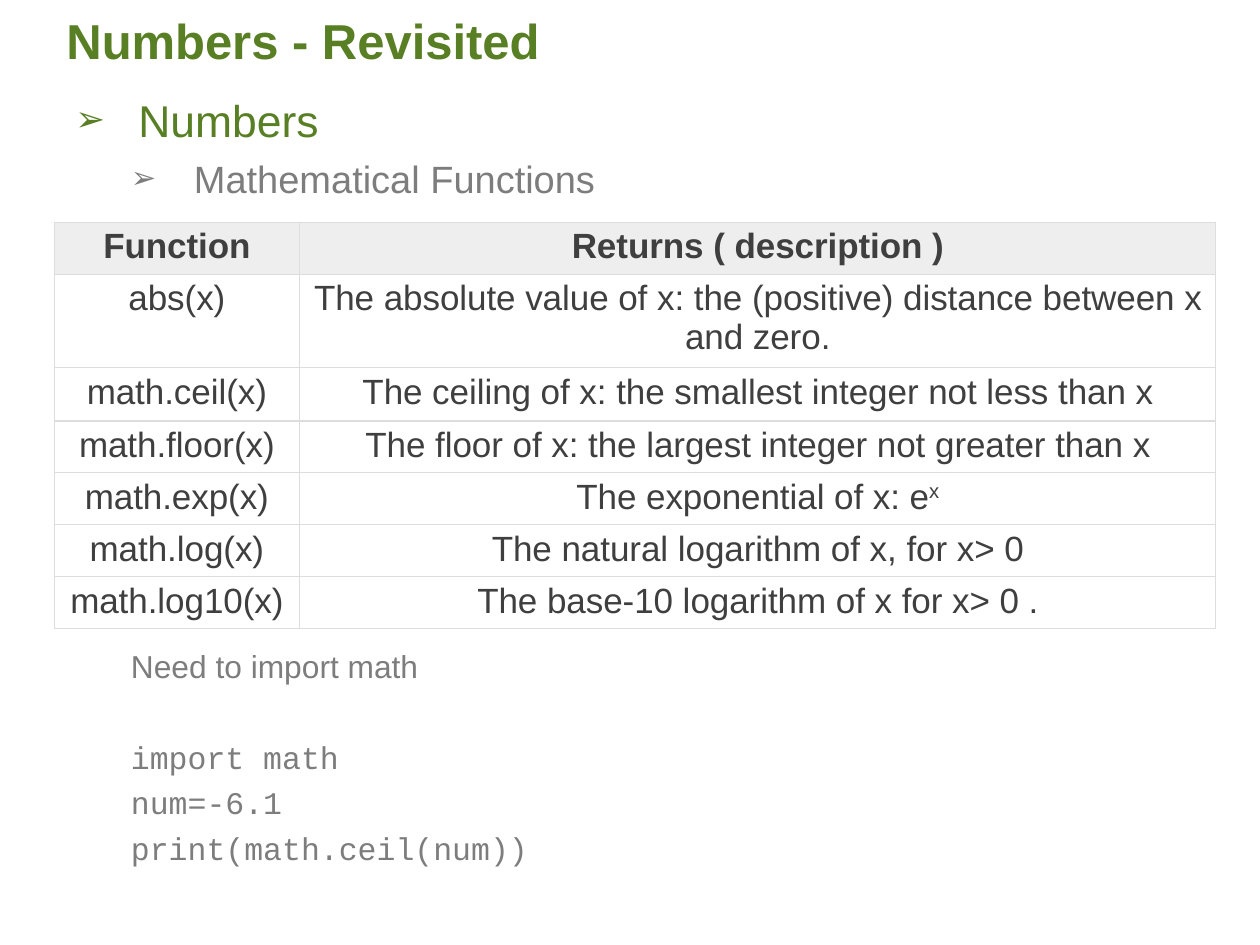
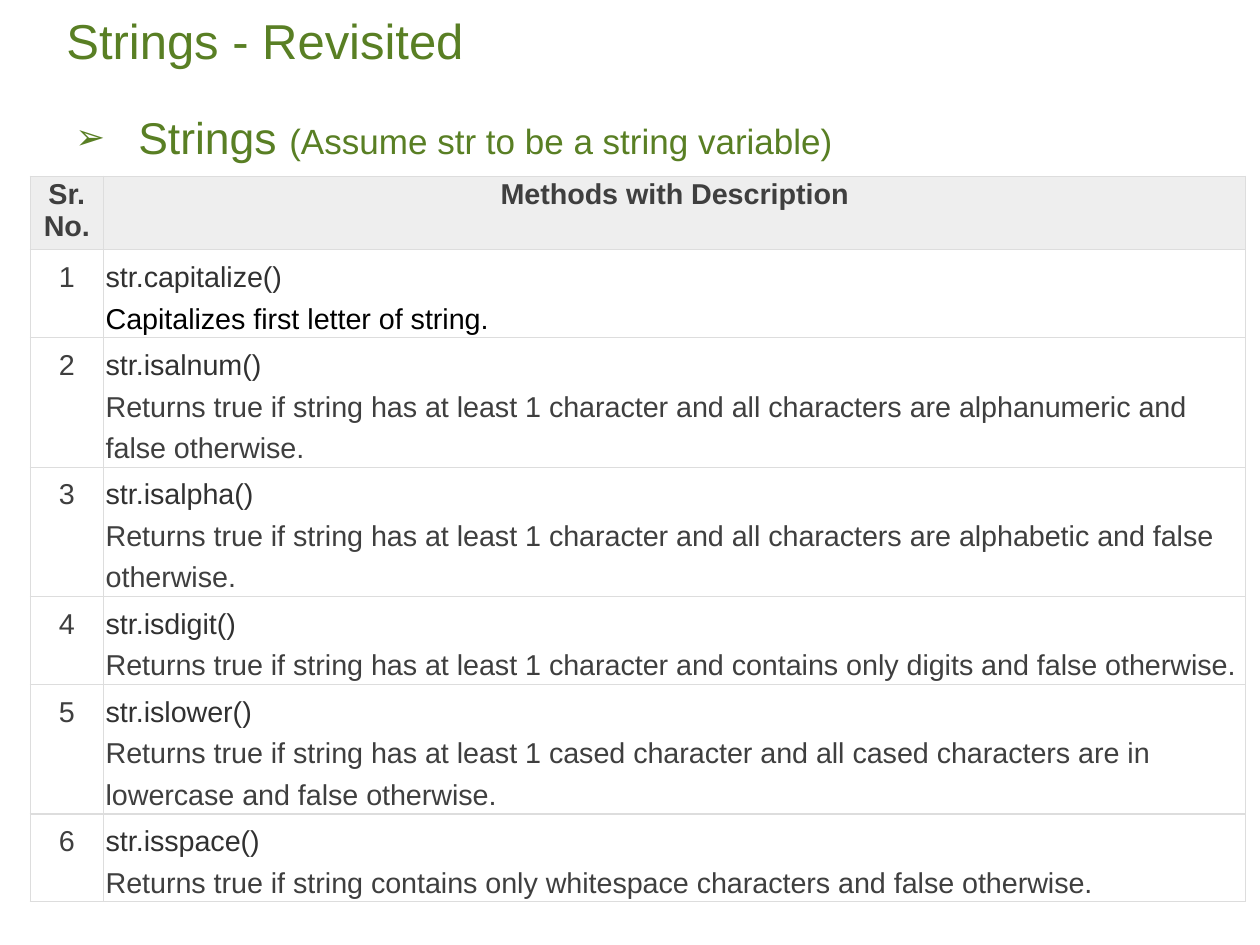
from copy import deepcopy

from lxml import etree
from pptx import Presentation
from pptx.dml.color import RGBColor
from pptx.enum.text import MSO_ANCHOR, PP_ALIGN
from pptx.oxml.ns import qn
from pptx.util import Cm, Pt

LEFT, CENTER = PP_ALIGN.LEFT, PP_ALIGN.CENTER
TOP, BOTTOM = MSO_ANCHOR.TOP, MSO_ANCHOR.BOTTOM

GREEN, GRAY = "597F24", "7D7D7D"
CELL_TEXT, METHOD_TEXT, BLACK = "3F3F3F", "313131", "000000"
HEADER_FILL, BORDER = "EEEEEE", "DDDDDD"
SANS, MONO = "Arial", "Courier New"


def rgb(hex_color):
    return RGBColor.from_string(hex_color)


def write(paragraph, text, size=18, color=CELL_TEXT, font=SANS, bold=False,
          raised=False, align=None, spacing=None, before=None):
    """Append a run; a trailing newline becomes a line break of the same size."""
    if align is not None:
        paragraph.alignment = align
    if spacing is not None:
        paragraph.line_spacing = spacing
    if before is not None:
        paragraph.space_before = Pt(before)
    run = paragraph.add_run()
    run.text = text.rstrip("\n")
    run.font.size = Pt(size)
    run.font.name = font
    run.font.bold = bold
    run.font.color.rgb = rgb(color)
    if raised:
        run._r.rPr.set("baseline", "30000")
    if text.endswith("\n"):
        paragraph.add_line_break()
        paragraph._p[-1].append(deepcopy(run._r.rPr))


def add_arrow_bullet(paragraph, margin, color):
    """Hang the text at margin, 1.27 cm to the right of its bullet."""
    props = paragraph._p.get_or_add_pPr()
    props.set("marL", str(Cm(margin)))
    props.set("indent", str(-Cm(1.27)))
    bullet_color = etree.SubElement(props, qn("a:buClr"))
    etree.SubElement(bullet_color, qn("a:srgbClr"), val=color)
    etree.SubElement(props, qn("a:buSzPct"), val="80000")
    etree.SubElement(props, qn("a:buFont"), typeface=SANS)
    etree.SubElement(props, qn("a:buChar"), char="➢")


def add_borders(cell):
    props = cell._tc.get_or_add_tcPr()
    for position, side in enumerate(("lnL", "lnR", "lnT", "lnB")):
        line = etree.Element(qn(f"a:{side}"), w=str(Pt(0.75)))
        fill = etree.SubElement(line, qn("a:solidFill"))
        etree.SubElement(fill, qn("a:srgbClr"), val=BORDER)
        props.insert(position, line)


class Deck:
    def __init__(self):
        self.presentation = Presentation()
        self.presentation.slide_width = Cm(25.4)
        self.presentation.slide_height = Cm(19.05)
        self.slide = None

    def new_slide(self, title, bold=False):
        layout = self.presentation.slide_layouts[6]
        self.slide = self.presentation.slides.add_slide(layout)
        frame = self.text_frame(1.09, 0.26, 22.86, 1.27, BOTTOM)
        write(frame.paragraphs[0], title, size=28, color=GREEN, bold=bold,
              spacing=0.9)

    def text_frame(self, left, top, width, height, anchor=TOP):
        box = self.slide.shapes.add_textbox(Cm(left), Cm(top), Cm(width), Cm(height))
        frame = box.text_frame
        frame.word_wrap = True
        frame.vertical_anchor = anchor
        return frame

    def topic(self, top, height, heading, remark="", subheading="", spacing=1.0):
        """Bulleted heading with a smaller remark beside it or a subheading below."""
        frame = self.text_frame(1.27, top, 22.86, height)
        first = frame.paragraphs[0]
        add_arrow_bullet(first, 1.27, GREEN)
        write(first, heading, size=25.4, color=GREEN, spacing=spacing)
        if remark:
            write(first, remark, size=20, color=GREEN)
        if subheading:
            second = frame.add_paragraph()
            add_arrow_bullet(second, 2.39, GRAY)
            write(second, subheading, size=21.75, color=GRAY, spacing=spacing)

    def code_example(self, left, top, intro, code_lines):
        frame = self.text_frame(left, top, 21.74, 5)
        write(frame.paragraphs[0], intro, size=18.1, color=GRAY, spacing=1.2)
        for number, line in enumerate(code_lines):
            write(frame.add_paragraph(), line, size=18, color=GRAY, font=MONO,
                  spacing=1.2, before=0 if number else 26.1)

    def table(self, left, top, widths, heights, rows, size, inset,
              body_spacing=1.0, body_aligns=(CENTER, CENTER)):
        """Fill a table whose cells are a string or a list of (text, format) runs."""
        frame = self.slide.shapes.add_table(
            len(rows), len(widths), Cm(left), Cm(top),
            Cm(sum(widths)), Cm(sum(heights)))
        table = frame.table
        table.horz_banding = False
        for column, width in zip(table.columns, widths):
            column.width = Cm(width)
        for r, (height, contents) in enumerate(zip(heights, rows)):
            table.rows[r].height = Cm(height)
            header = r == 0
            for c, content in enumerate(contents):
                cell = table.cell(r, c)
                cell.margin_left = cell.margin_right = Cm(inset)
                cell.margin_top = cell.margin_bottom = Cm(inset)
                if header:
                    cell.fill.solid()
                    cell.fill.fore_color.rgb = rgb(HEADER_FILL)
                else:
                    cell.fill.background()
                add_borders(cell)
                runs = [(content, {})] if isinstance(content, str) else content
                for text, style in runs:
                    write(cell.text_frame.paragraphs[0], text, size=size, bold=header,
                          align=CENTER if header else body_aligns[c],
                          spacing=1.0 if header else body_spacing, **style)


MATH_FUNCTIONS = [
    ("Function", "Returns ( description )"),
    ("abs(x)", "The absolute value of x: the (positive) distance between x and zero."),
    ("math.ceil(x)", "The ceiling of x: the smallest integer not less than x"),
    ("math.floor(x)", "The floor of x: the largest integer not greater than x"),
    ("math.exp(x)", [("The exponential of x: e", {}), ("x", {"raised": True})]),
    ("math.log(x)", "The natural logarithm of x, for x> 0"),
    ("math.log10(x)", "The base-10 logarithm of x for x> 0 ."),
]

STRING_METHODS = [
    ("capitalize", "Capitalizes first letter of string."),
    ("isalnum", "Returns true if string has at least 1 character and all characters "
                "are alphanumeric and false otherwise."),
    ("isalpha", "Returns true if string has at least 1 character and all characters "
                "are alphabetic and false otherwise."),
    ("isdigit", "Returns true if string has at least 1 character and contains only "
                "digits and false otherwise."),
    ("islower", "Returns true if string has at least 1 cased character and all cased "
                "characters are in lowercase and false otherwise."),
    ("isspace", "Returns true if string contains only whitespace characters and "
                "false otherwise."),
]


def build_numbers(deck):
    deck.new_slide("Numbers - Revisited", bold=True)
    deck.topic(1.53, 2.8, "Numbers", subheading="Mathematical Functions", spacing=1.2)
    deck.table(1.09, 4.48, (4.95, 18.47), (1.04, 1.88, 1.07) + (1.03,) * 4,
               MATH_FUNCTIONS, size=19.93, inset=0.1)
    deck.code_example(2.39, 12.76, "Need to import math",
                      ("import math", "num=-6.1", "print(math.ceil(num))"))


def build_strings(deck):
    deck.new_slide("Strings - Revisited")
    deck.topic(2.1, 1.4, "Strings ", remark="(Assume str to be a string variable)")
    rows = [("Sr. No.", "Methods with Description")]
    for number, (method, description) in enumerate(STRING_METHODS, start=1):
        color = BLACK if number == 1 else CELL_TEXT
        rows.append((str(number), [(f"str.{method}()\n", {"color": METHOD_TEXT}),
                                   (description, {"color": color})]))
    deck.table(0.61, 3.55, (1.47, 23.03), (1.47, 1.55, 2.29, 2.29, 1.47, 2.29, 1.17),
               rows, size=16.35, inset=0.05, body_spacing=Pt(23.7),
               body_aligns=(CENTER, LEFT))


def main():
    deck = Deck()
    build_numbers(deck)
    build_strings(deck)
    deck.presentation.save("out.pptx")


if __name__ == "__main__":
    main()
